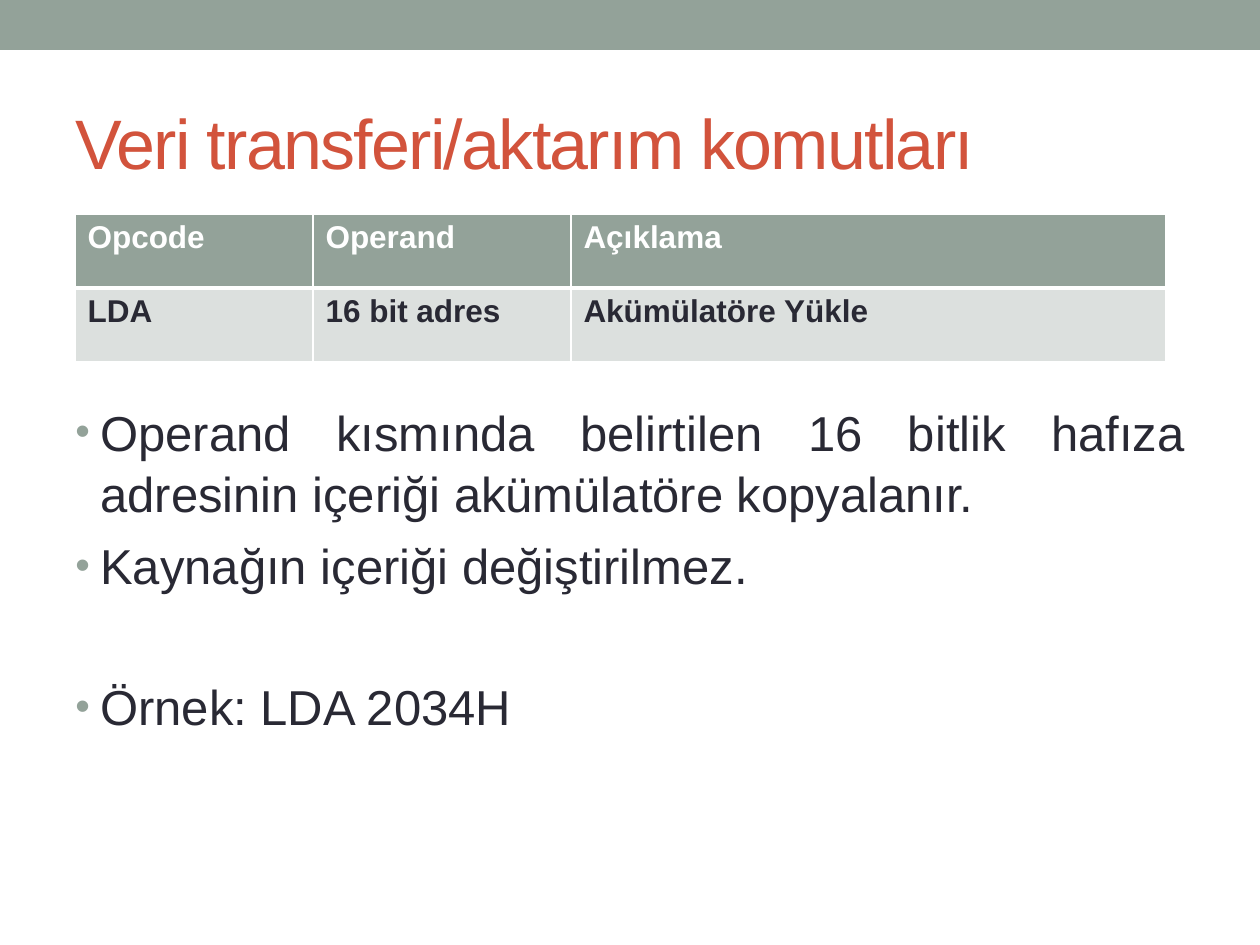
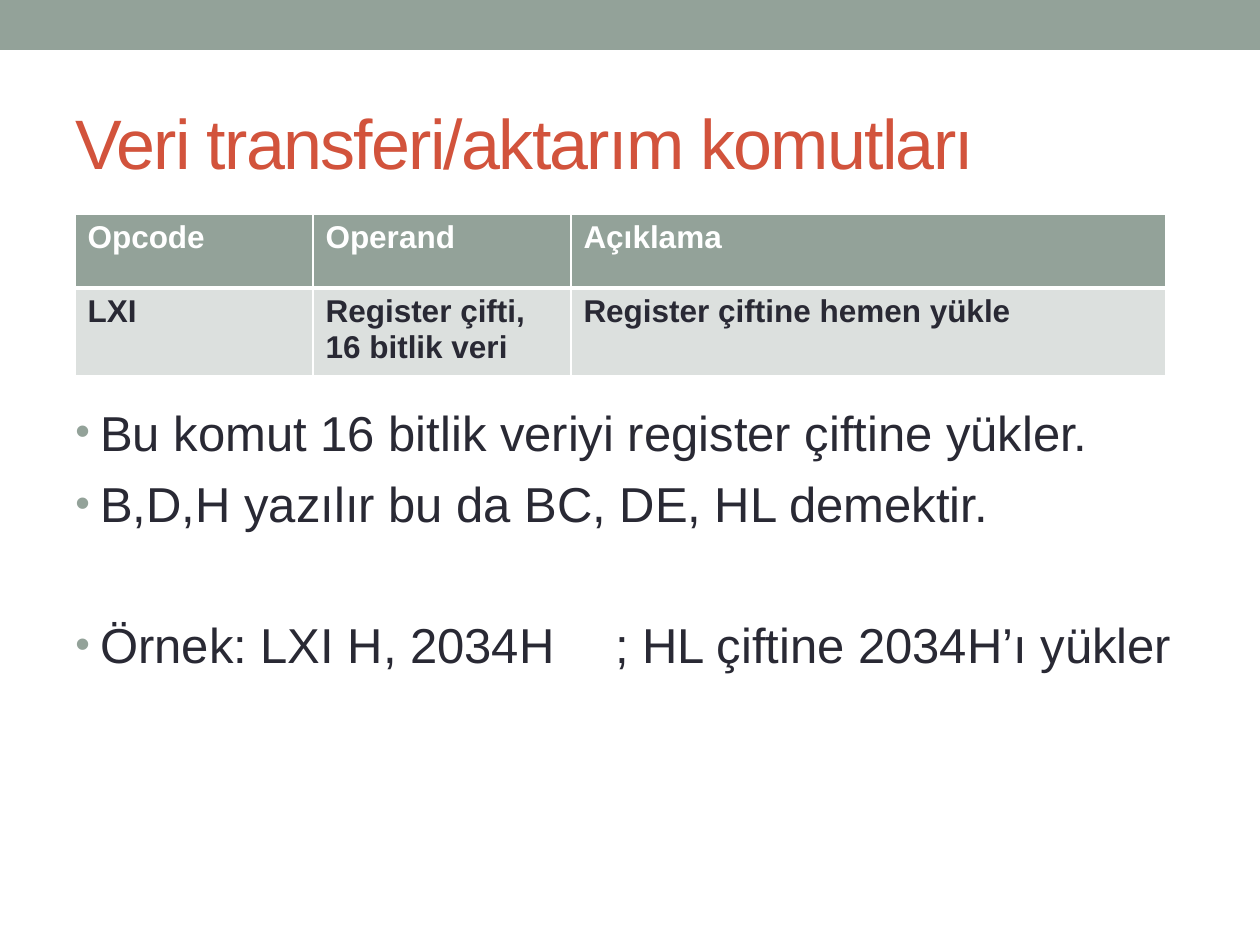
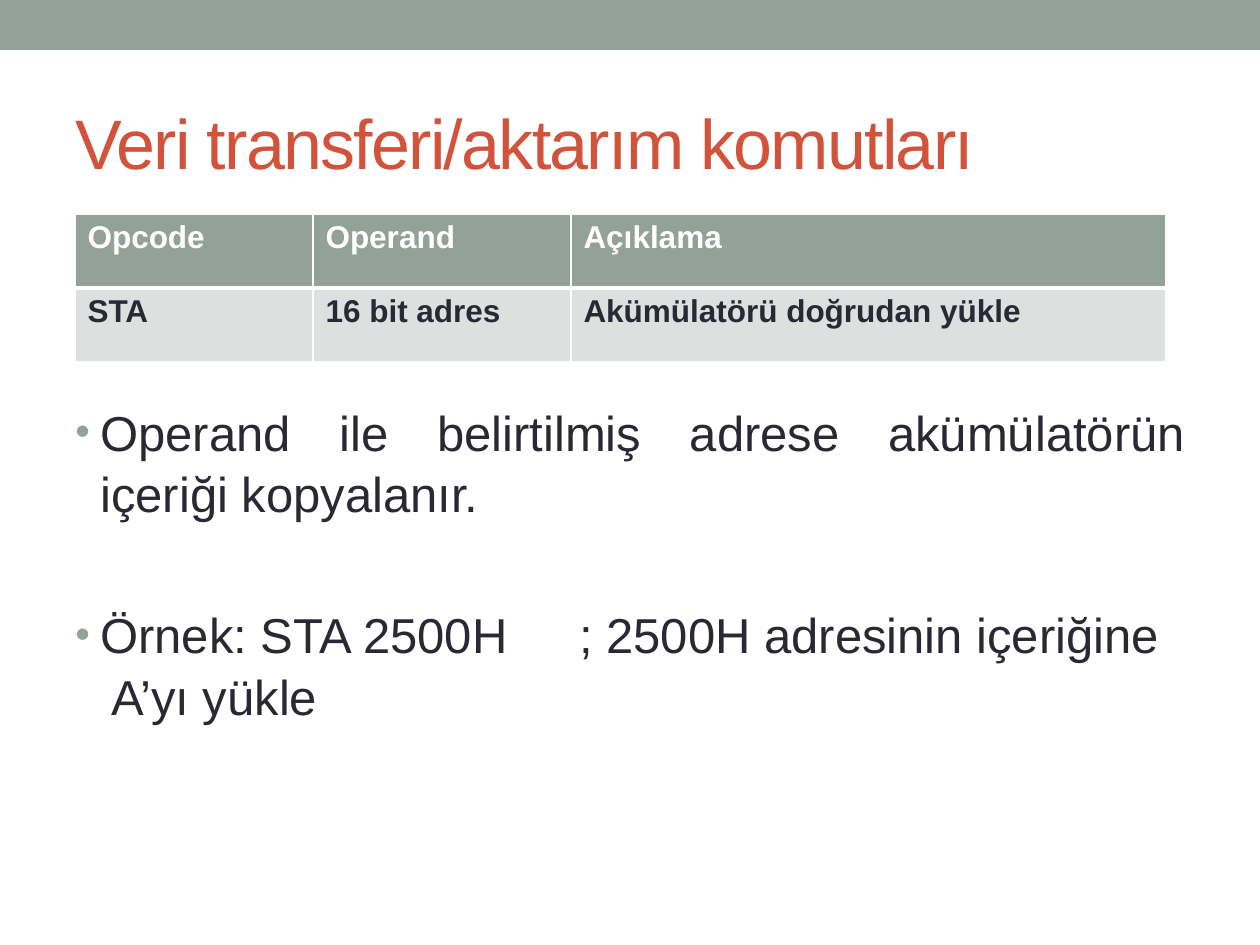
from lxml import etree
from pptx import Presentation
from pptx.dml.color import RGBColor
from pptx.enum.shapes import MSO_SHAPE
from pptx.enum.text import MSO_ANCHOR, PP_ALIGN
from pptx.oxml import parse_xml
from pptx.oxml.ns import nsdecls, qn
from pptx.util import Pt

RECT = MSO_SHAPE.RECTANGLE
MIDDLE = MSO_ANCHOR.MIDDLE
LEFT, FULL = PP_ALIGN.LEFT, PP_ALIGN.JUSTIFY
PX = 914400 / 126
COLORS = {"sage": "93A299", "pale": "DCE0DE", "rust": "D2533C",
          "ink": "292934", "white": "FFFFFF"}
TITLE = "Veri transferi/aktarım komutları"
HEADS = ["Opcode", "Operand", "Açıklama"]
COLS = [238, 258, 595]
ROW = 74
NEAR, FAR = 10, 79

SLIDES = [
    (["LDA", "16 bit adres", "Akümülatöre Yükle"],
     [("Operand kısmında belirtilen 16 bitlik hafıza adresinin içeriği "
       "akümülatöre kopyalanır.", FULL, 0, []),
      ("Kaynağın içeriği değiştirilmez.", FULL, NEAR, []),
      ("Örnek: LDA 2034H", FULL, FAR, [])]),
    (["LXI", "Register çifti, 16 bitlik veri", "Register çiftine hemen yükle"],
     [("Bu komut 16 bitlik veriyi register çiftine yükler.", FULL, 0, []),
      ("B,D,H yazılır bu da BC, DE, HL demektir.", LEFT, NEAR, []),
      ("Örnek: LXI H, 2034H\t; HL çiftine 2034H’ı yükler", FULL, FAR, [540])]),
    (["STA", "16 bit adres", "Akümülatörü doğrudan yükle"],
     [("Operand ile belirtilmiş adrese akümülatörün içeriği kopyalanır.",
       FULL, 0, []),
      ("Örnek: STA 2500H\t; 2500H adresinin içeriğine\v\tA’yı yükle",
       LEFT, FAR, [36, 504])]),
]


def px(*sizes):
    return [round(size * PX) for size in sizes]


def write(par, text, size, color, bold=False, align=LEFT, track=0):
    par.text = text
    par.alignment = align
    for run in par.runs:
        run.font.name = "Arial"
        run.font.size = Pt(size)
        run.font.bold = bold
        run.font.color.rgb = RGBColor.from_string(COLORS[color])
        if track:
            run.font._element.set("spc", str(track * 100))


deck = Presentation()
deck.slide_width, deck.slide_height = px(1260, 945)

for entry, points in SLIDES:
    slide = deck.slides.add_slide(deck.slide_layouts[5])
    band = slide.shapes.add_shape(RECT, *px(0, 0, 1260, 50))
    band.shadow.inherit = False
    band.fill.solid()
    band.fill.fore_color.rgb = RGBColor.from_string(COLORS["sage"])
    band.line.fill.background()

    title = slide.shapes.title
    title.left, title.top, title.width, title.height = px(63, 73, 1134, 136)
    title.text_frame.vertical_anchor = MIDDLE
    write(title.text_frame.paragraphs[0], TITLE, 40, "rust", track=-1)

    body = slide.shapes.add_textbox(*px(63, 393, 1134, 499)).text_frame
    body.word_wrap = True
    for i, (text, align, gap, stops) in enumerate(points):
        par = body.add_paragraph() if i else body.paragraphs[0]
        props = par._p.get_or_add_pPr()
        hang = px(25)[0]
        props.set("marL", str(hang))
        props.set("indent", str(-hang))
        for tag, key, value in [("buSzPct", "val", "85000"),
                                ("buFont", "typeface", "Arial"),
                                ("buChar", "char", "•")]:
            etree.SubElement(props, qn("a:" + tag)).set(key, value)
        props.insert(0, parse_xml(
            f'<a:buClr {nsdecls("a")}><a:srgbClr val="{COLORS["sage"]}"/></a:buClr>'))
        if stops:
            tabs = etree.SubElement(props, qn("a:tabLst"))
            for stop in px(*stops):
                etree.SubElement(tabs, qn("a:tab"), pos=str(stop), algn="l")
        write(par, text, 28, "ink", align=align)
        par.line_spacing = 1.05
        if gap:
            par.space_before = px(gap)[0]

    table = slide.shapes.add_table(2, 3, *px(75, 214, sum(COLS), 2 * ROW)).table
    for col, width in zip(table.columns, px(*COLS)):
        col.width = width
    for r, (texts, fill, color) in enumerate([(HEADS, "sage", "white"),
                                              (entry, "pale", "ink")]):
        table.rows[r].height = px(ROW)[0]
        for c, text in enumerate(texts):
            cell = table.cell(r, c)
            write(cell.text_frame.paragraphs[0], text, 18, color, bold=True)
            cell.fill.solid()
            cell.fill.fore_color.rgb = RGBColor.from_string(COLORS[fill])
            thick = "lnT" if r else "lnB"
            for i, side in enumerate(["lnL", "lnR", "lnT", "lnB"]):
                width = Pt(3 if side == thick else 1)
                cell._tc.tcPr.insert(i, parse_xml(
                    f'<a:{side} {nsdecls("a")} w="{width}"><a:solidFill>'
                    f'<a:srgbClr val="{COLORS["white"]}"/></a:solidFill></a:{side}>'))

deck.save("out.pptx")
